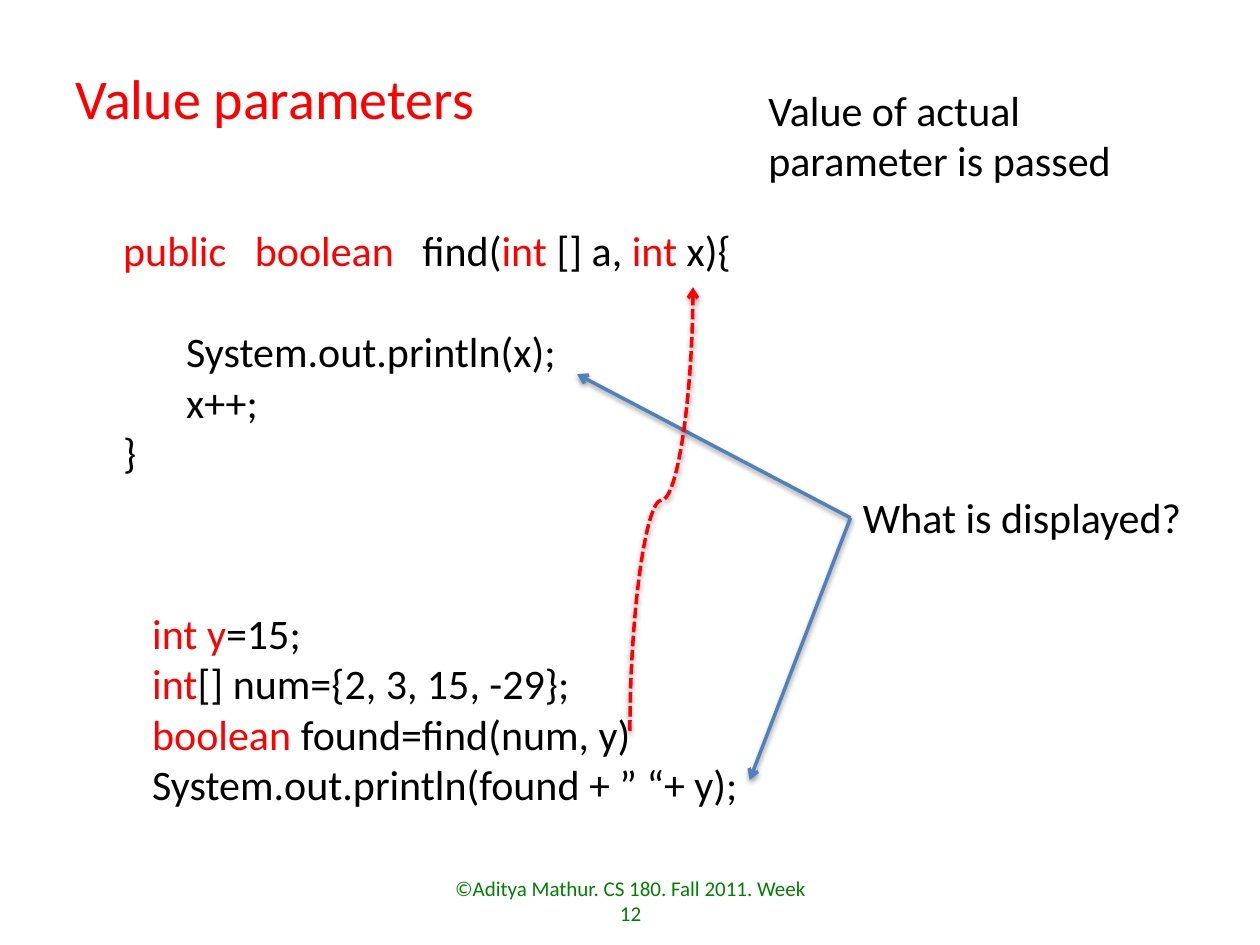
from lxml.etree import SubElement
from pptx import Presentation
from pptx.dml.color import RGBColor as RGB
from pptx.enum.dml import MSO_LINE as DASH
from pptx.enum.shapes import MSO_CONNECTOR as CONN
from pptx.enum.text import MSO_ANCHOR as ANCHOR, MSO_AUTO_SIZE as FIT, PP_ALIGN as ALIGN
from pptx.oxml.ns import qn
from pptx.util import Emu, Inches, Pt

# The slide is a grid of 100 columns by 75 rows of square cells
CELL = Inches(0.1)
COLORS = {"keyword": "FF0000", "text": "000000", "footer": "008000",
          "arrow": "4F81BD", "shadow": "000000"}

# Code lines: paragraph format, then (text, colour) runs
METHOD = [
    ({}, [("public   boolean   ", "keyword"), ("find(", "text"), ("int", "keyword"),
          (" [] a, ", "text"), ("int ", "keyword"), ("x){", "text")]),
    ({"space_before": Pt(29.3), "indent": 5}, [("System.out.println(x);", "text")]),
    ({"indent": 5}, [("x++;", "text")]),
    ({}, [("}", "text")]),
]
CALLER = [
    ({}, [("int y", "keyword"), ("=15;", "text")]),
    ({}, [("int", "keyword"), ("[] num={2, 3, 15, -29};", "text")]),
    ({}, [("boolean", "keyword"), (" found=find(num, y)", "text")]),
    ({}, [("System.out.println(found + ” “+ y);", "text")]),
]


def grid(*cells):
    return [Emu(round(n * CELL)) for n in cells]


def apply(obj, values):
    for name, value in values.items():
        setattr(obj, name, value)


def add_text(s, box, lines, size=24, **frame):
    """Text box holding lines of coloured runs."""
    tf = s.shapes.add_textbox(*grid(*box)).text_frame
    apply(tf, {"word_wrap": True, "auto_size": FIT.NONE, **frame})
    for i, (fmt, runs) in enumerate(lines):
        p = tf.add_paragraph() if i else tf.paragraphs[0]
        fmt = dict(fmt)
        indent = fmt.pop("indent", 0)
        if indent:
            p._p.get_or_add_pPr().set("marL", str(grid(indent)[0]))
        apply(p, fmt)
        for text, color in runs:
            r = p.add_run()
            r.text = text
            apply(r.font, {"name": "Calibri", "size": Pt(size)})
            r.font.color.rgb = RGB.from_string(COLORS[color])


def add_code(s, box, lines):
    add_text(s, box, lines, word_wrap=False, auto_size=FIT.SHAPE_TO_FIT_TEXT)


def add_arrow(s, start, end, color="arrow", kind=CONN.STRAIGHT):
    """Connector with an arrowhead at its end and a soft shadow below."""
    sp = s.shapes.add_connector(kind, *grid(*start, *end))
    sp.line.color.rgb = RGB.from_string(COLORS[color])
    sp.line.width = Pt(2)
    SubElement(sp.line._get_or_add_ln(), qn("a:tailEnd"), type="arrow")
    effects = SubElement(sp._element.spPr, qn("a:effectLst"))
    shadow = SubElement(effects, qn("a:outerShdw"), blurRad=str(Pt(3.1)),
                        dist=str(Pt(1.6)), dir="5400000", rotWithShape="0")
    tint = SubElement(shadow, qn("a:srgbClr"), val=COLORS["shadow"])
    SubElement(tint, qn("a:alpha"), val="38000")
    return sp


def add_rising_curve(s, start, end, bend):
    """Dashed S-curve that leaves and arrives vertically: a level one turned by 90°."""
    (x1, y1), (x2, y2) = start, end
    cx, cy = (x1 + x2) / 2, (y1 + y2) / 2
    dx, dy = (y1 - y2) / 2, (x2 - x1) / 2
    sp = add_arrow(s, (cx + dx, cy + dy), (cx - dx, cy - dy), "keyword", CONN.CURVE)
    sp.line.dash_style = DASH.SQUARE_DOT
    sp._element.spPr.find(qn("a:xfrm")).set("rot", "5400000")
    geom = sp._element.spPr.find(qn("a:prstGeom"))
    SubElement(geom.find(qn("a:avLst")), qn("a:gd"),
               name="adj1", fmla=f"val {round(bend * 100000)}")


def main():
    prs = Presentation()
    prs.slide_width, prs.slide_height = grid(100, 75)
    s = prs.slides.add_slide(prs.slide_layouts[6])

    # Title and footer
    add_text(s, (5, 4.6, 79.2, 10.7),
             [({"line_spacing": Pt(38)}, [("Value parameters", "keyword")])], size=32)
    add_text(s, (34.2, 69.5, 31.7, 4),
             [({"alignment": ALIGN.CENTER},
               [("©Aditya Mathur. CS 180. Fall 2011. Week 12", "footer")])],
             size=12, vertical_anchor=ANCHOR.MIDDLE)

    # Method and the code that calls it
    add_code(s, (8.8, 17.3, 50.7, 21.2), METHOD)
    add_code(s, (11.1, 47.7, 49, 17.2), CALLER)

    # Question pointing at both print statements
    question = (67.5, 41.1)
    add_code(s, (67.5, 38.5, 27.5, 5), [({}, [("What is displayed?", "text")])])
    for target in ((45.8, 29.7), (59.5, 61.9)):
        add_arrow(s, question, target)

    # Remark, and the argument travelling to its parameter
    add_text(s, (60, 6.2, 35.4, 9.1),
             [({}, [("Value of actual parameter is passed", "text")])],
             auto_size=FIT.SHAPE_TO_FIT_TEXT)
    add_rising_curve(s, (50, 58), (55, 22.8), bend=0.52)

    prs.save("out.pptx")


if __name__ == "__main__":
    main()
